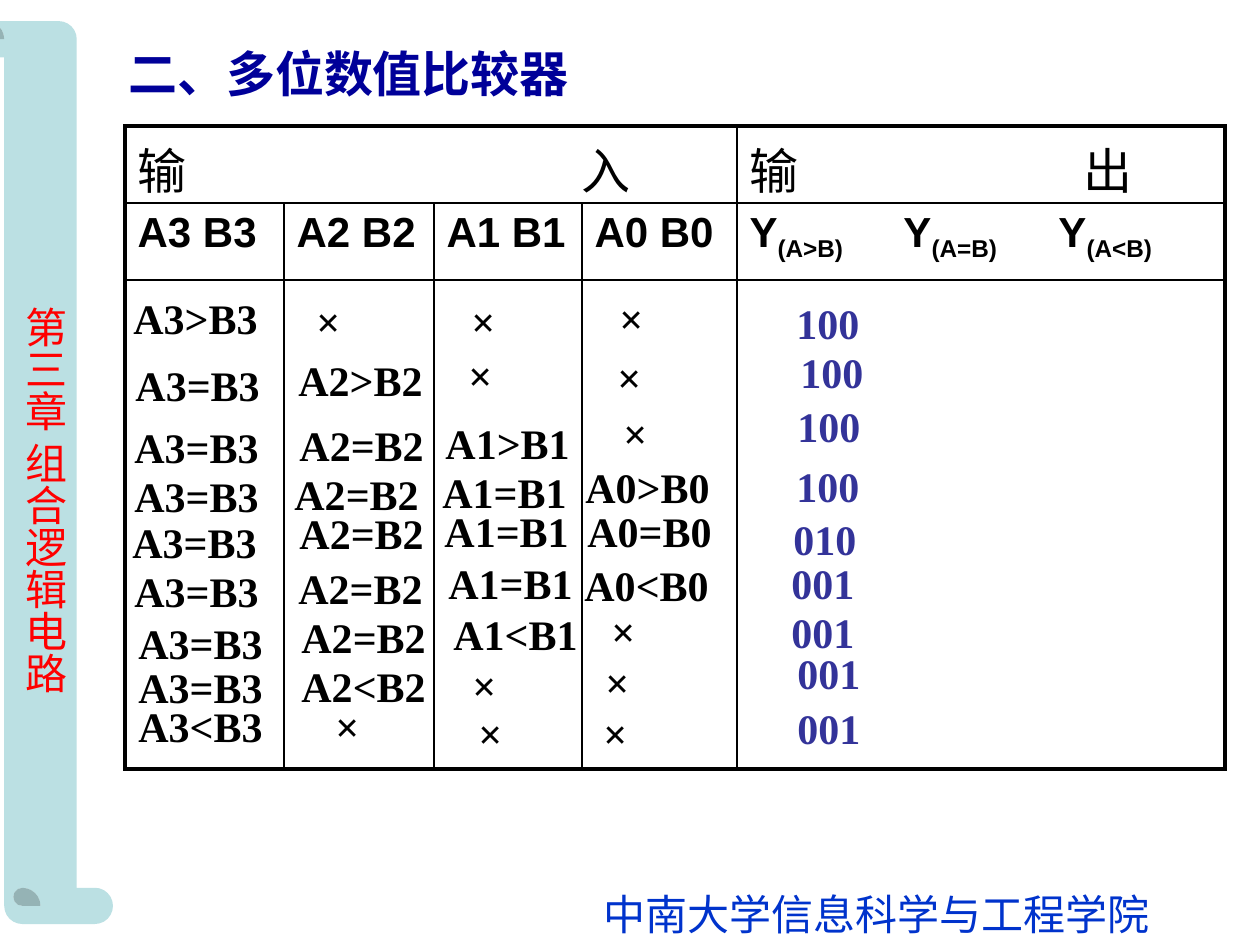
from lxml import etree
from pptx import Presentation
from pptx import util as u
from pptx.dml.color import RGBColor
from pptx.enum import shapes, text
from pptx.oxml import parse_xml
from pptx.oxml.ns import nsdecls, qn

PX = 914400 / 126
SERIF, SANS, CJK = "Times New Roman", "Arial", "Noto Sans CJK SC"


def add_run(paragraph, words, color, baseline=0, **font_format):
    run = paragraph.add_run()
    run.text = words
    run.font.color.rgb = RGBColor.from_string(color)
    for key, value in font_format.items():
        setattr(run.font, key, value)
    properties = run.font._element
    if baseline:
        properties.set("baseline", str(baseline))
    if max(words) >= "一":
        etree.SubElement(properties, qn("a:ea")).set("typeface", CJK)


def add_text(box, words, color, wrap=True, align=text.PP_ALIGN.LEFT, **font_format):
    """Add a text box; box is left, top, width and height in px."""
    frame = slide.shapes.add_textbox(*[u.Emu(round(n * PX)) for n in box]).text_frame
    frame.word_wrap = wrap
    frame.auto_size = text.MSO_AUTO_SIZE.SHAPE_TO_FIT_TEXT
    frame.paragraphs[0].alignment = align
    add_run(frame.paragraphs[0], words, color, **font_format)
    return frame


deck = Presentation()
deck.slide_width, deck.slide_height = u.Inches(10), u.Inches(7.5)
slide = deck.slides.add_slide(deck.slide_layouts[6])

# Chapter scroll, title and footer
scroll = slide.shapes.add_shape(
    shapes.MSO_SHAPE.HORIZONTAL_SCROLL, *[u.Emu(round(n * PX)) for n in (-411, 400, 903, 145)])
scroll.rotation = 270
scroll.adjustments[0] = 0.25
scroll.shadow.inherit = False
scroll.fill.solid()
scroll.fill.fore_color.rgb = RGBColor.from_string("BBE0E3")
scroll.line.fill.background()

chapter = add_text((0, 294, 76, 412), "第三章 组合逻辑电路", "FF0000", wrap=False,
                   size=u.Pt(24), name=CJK)
chapter._txBody.bodyPr.set("vert", "eaVert")
add_text((591, 882, 571, 63), "中南大学信息科学与工程学院", "0033CC", wrap=False,
         size=u.Pt(24), name=SERIF)
add_text((116, 37, 885, 72), "二、多位数值比较器", "000099",
         size=u.Pt(28), name=SERIF, bold=True)

# Table grid
col_widths = [159, 150, 148, 155, 488]
row_heights = [77, 77, 489]
table = slide.shapes.add_table(
    len(row_heights), len(col_widths),
    *[u.Emu(round(n * PX)) for n in (125, 126, sum(col_widths), sum(row_heights))]).table
table.first_row = table.horz_banding = False
for column, width in zip(table.columns, col_widths):
    column.width = u.Emu(round(width * PX))
for row, height in zip(table.rows, row_heights):
    row.height = u.Emu(round(height * PX))
table.cell(0, 0).merge(table.cell(0, 3))

last_row, last_col = len(row_heights) - 1, len(col_widths) - 1
for r in range(last_row + 1):
    for c in range(last_col + 1):
        cell = table.cell(r, c)
        cell.fill.background()
        outer_sides = {"L": c == 0, "R": c == last_col, "T": r == 0, "B": r == last_row}
        for place, (side, outer) in enumerate(outer_sides.items()):
            width = u.Pt(2.25 if outer else 1)
            cell._tc.tcPr.insert(place, parse_xml(
                f'<a:ln{side} {nsdecls("a")} w="{width}"><a:solidFill>'
                f'<a:srgbClr val="000000"/></a:solidFill></a:ln{side}>'))

# Table headings: row, column, tab stops in px, (words, baseline) runs
group_format = dict(size=u.Pt(28), name=SANS, bold=False)
signal_format = dict(size=u.Pt(24), name=SANS, bold=True)
headings = [
    (0, 0, [444], [("输\t入", 0)]),
    (0, 4, [334], [("输\t出", 0)]),
    *[(1, c, [], [(f"A{3 - c} B{3 - c}", 0)]) for c in range(4)],
    (1, 4, [154, 309], [("Y", 0), ("(A>B)\t", -25000), ("Y", 0), ("(A=B)\t", -25000),
                        ("Y", 0), ("(A<B)", -25000)]),
]
for r, c, stops, runs in headings:
    paragraph = table.cell(r, c).text_frame.paragraphs[0]
    paragraph.alignment = text.PP_ALIGN.JUSTIFY
    if stops:
        tabs = etree.SubElement(paragraph._p.get_or_add_pPr(), qn("a:tabLst"))
        for stop in stops:
            etree.SubElement(tabs, qn("a:tab"), pos=str(round(stop * PX)), algn="l")
    for words, baseline in runs:
        add_run(paragraph, words, "000000", baseline,
                **(signal_format if r else group_format))

# Truth table entries: words, left, top
entries = [
    [("A3>B3", 121, 286), ("×", 304, 289), ("×", 459, 289), ("×", 607, 286), ("100", 784, 291)],
    [("A3=B3", 123, 353), ("A2>B2", 286, 348), ("×", 456, 343), ("×", 605, 345),
     ("100", 788, 340)],
    [("A3=B3", 122, 415), ("A2=B2", 287, 413), ("A1>B1", 433, 411), ("×", 611, 401),
     ("100", 785, 394)],
    [("A3=B3", 122, 464), ("A2=B2", 282, 462), ("A1=B1", 430, 460), ("A0>B0", 573, 455),
     ("100", 784, 454)],
    [("A3=B3", 120, 510), ("A2=B2", 287, 501), ("A1=B1", 432, 499), ("A0=B0", 575, 499),
     ("010", 781, 507)],
    [("A3=B3", 122, 559), ("A2=B2", 286, 556), ("A1=B1", 436, 551), ("A0<B0", 572, 553),
     ("001", 779, 551)],
    [("A3=B3", 126, 611), ("A2=B2", 289, 605), ("A1<B1", 441, 602), ("×", 599, 599),
     ("001", 779, 600)],
    [("A3=B3", 126, 655), ("A2<B2", 289, 654), ("×", 460, 653), ("×", 593, 650),
     ("001", 785, 641)],
    [("A3<B3", 126, 694), ("×", 323, 694), ("×", 466, 701), ("×", 591, 701), ("001", 785, 696)],
]
entry_format = dict(size=u.Pt(24), name=SERIF, bold=True)
for *conditions, (result, result_left, result_top) in entries:
    for words, left, top in conditions:
        add_text((left, top, 82 if words == "×" else 160, 63), words, "000000", **entry_format)
    add_text((result_left, result_top, 396, 63), result, "333399",
             align=text.PP_ALIGN.JUSTIFY, **entry_format)

deck.save("out.pptx")
